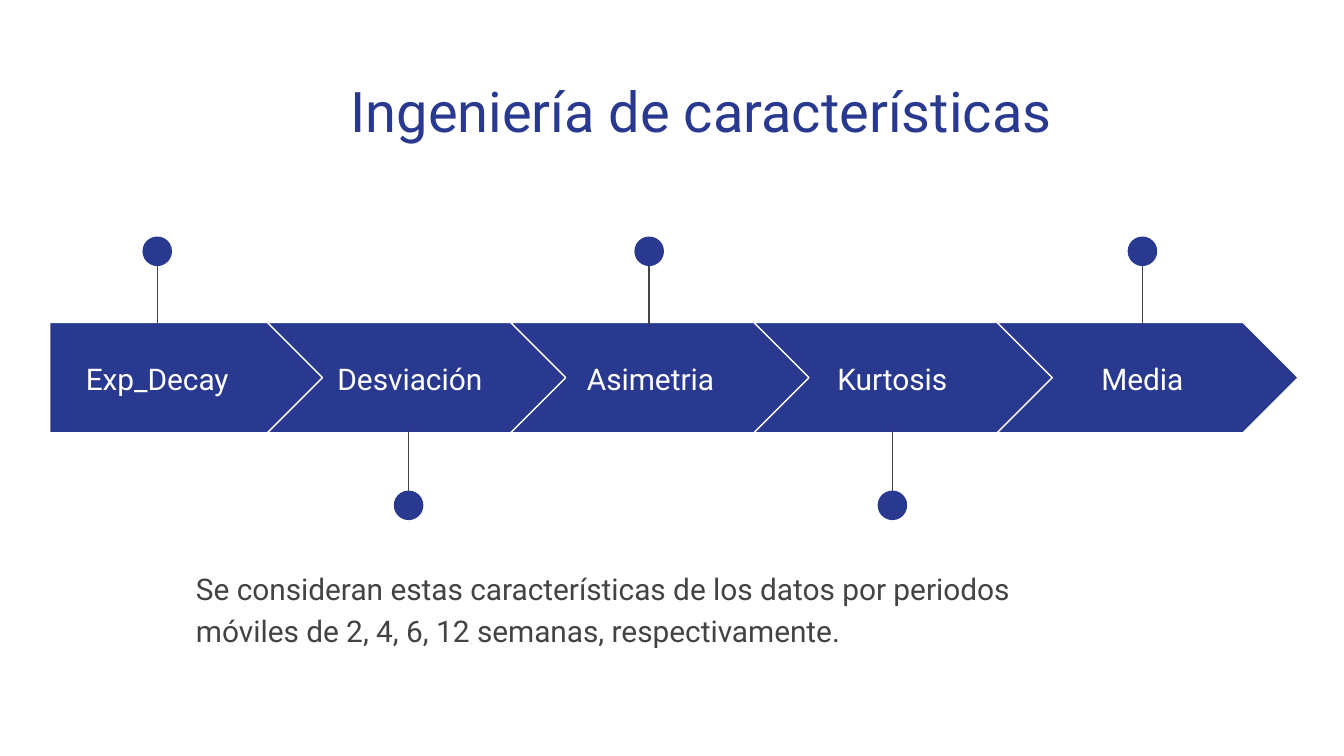
import pptx
import pptx.dml.color
import pptx.enum.shapes
import pptx.enum.text
import pptx.oxml
import pptx.util

Inches = pptx.util.Inches
Pt = pptx.util.Pt
SHAPE = pptx.enum.shapes.MSO_SHAPE
ALIGN = pptx.enum.text.PP_ALIGN
ANCHOR = pptx.enum.text.MSO_ANCHOR

COLORS = {"navy": "2A3990", "gray": "434343", "white": "FFFFFF"}


class SlideBuilder:
    font = "Roboto"
    line_width = Pt(0.75)

    def __init__(self, slide):
        self.slide = slide

    def color(self, name):
        return pptx.dml.color.RGBColor.from_string(COLORS[name])

    def shape(self, preset, left, top, width, height, outline=None):
        shape = self.slide.shapes.add_shape(
            preset, Inches(left), Inches(top), Inches(width), Inches(height))
        shape.shadow.inherit = False
        shape.fill.solid()
        shape.fill.fore_color.rgb = self.color("navy")
        if outline:
            shape.line.color.rgb = self.color(outline)
            shape.line.width = self.line_width
        else:
            shape.line.fill.background()
        return shape

    def text(self, content, left, top, width, height, size, color,
             align=ALIGN.LEFT, anchor=ANCHOR.TOP):
        box = self.slide.shapes.add_textbox(
            Inches(left), Inches(top), Inches(width), Inches(height))
        frame = box.text_frame
        frame.word_wrap = True
        frame.vertical_anchor = anchor
        frame.margin_left = frame.margin_right = Inches(0.1)
        frame.margin_top = frame.margin_bottom = Inches(0.1)
        frame.text = content
        paragraph = frame.paragraphs[0]
        paragraph.alignment = align
        font = paragraph.runs[0].font
        font.name = self.font
        font.size = Pt(size)
        font.color.rgb = self.color(color)
        return paragraph

    def line(self, x, start, end):
        line = self.slide.shapes.add_connector(
            pptx.enum.shapes.MSO_CONNECTOR.STRAIGHT,
            Inches(x), Inches(start), Inches(x), Inches(end))
        line.line.color.rgb = self.color("gray")
        line.line.width = self.line_width
        properties = line._element.spPr
        properties.append(properties.makeelement(
            pptx.oxml.ns.qn("a:effectLst"), {}))

    def pin(self, x, above):
        start, end, dot_top = (1.8, 2.41, 1.76) if above else (3.82, 3.21, 3.65)
        self.line(x, start, end)
        self.shape(SHAPE.OVAL, x - 0.11, dot_top, 0.22, 0.22)


def main():
    presentation = pptx.Presentation()
    presentation.slide_width = Inches(10)
    presentation.slide_height = Inches(10) * 9 // 16
    builder = SlideBuilder(
        presentation.slides.add_slide(presentation.slide_layouts[6]))

    builder.text("Ingeniería de características",
                 2.51, 0.47, 5.52, 0.66, 30, "navy")

    features = [
        ("Exp_Decay", 1.17, 1.17),
        ("Desviación", 3.05, 3.04),
        ("Asimetria", 4.84, 4.83),
        ("Kurtosis", 6.64, 6.64),
        ("Media", 8.5, 8.5),
    ]
    chevron_left, chevron_step = 1.99, 1.81
    for index, (feature, label_center, pin_x) in enumerate(features):
        if index == 0:
            step = builder.shape(SHAPE.PENTAGON, 0.37, 2.4, 2.05, 0.82, "white")
        else:
            left = chevron_left + (index - 1) * chevron_step
            step = builder.shape(SHAPE.CHEVRON, left, 2.4, 2.24, 0.82, "white")
        step.adjustments[0] = 0.5
        label_width = 1.59 if index == 0 else 1.44
        builder.text(feature, label_center - label_width / 2, 2.56,
                     label_width, 0.51, 16, "white", ALIGN.CENTER, ANCHOR.MIDDLE)
        builder.pin(pin_x, above=index % 2 == 0)

    explanation = builder.text(
        "Se consideran estas características de los datos por periodos "
        "móviles de 2, 4, 6, 12 semanas, respectivamente.",
        1.36, 4.11, 6.49, 0.99, 16, "gray")
    explanation.line_spacing = 1.15
    explanation.space_after = Pt(16)

    presentation.save("out.pptx")


if __name__ == "__main__":
    main()
